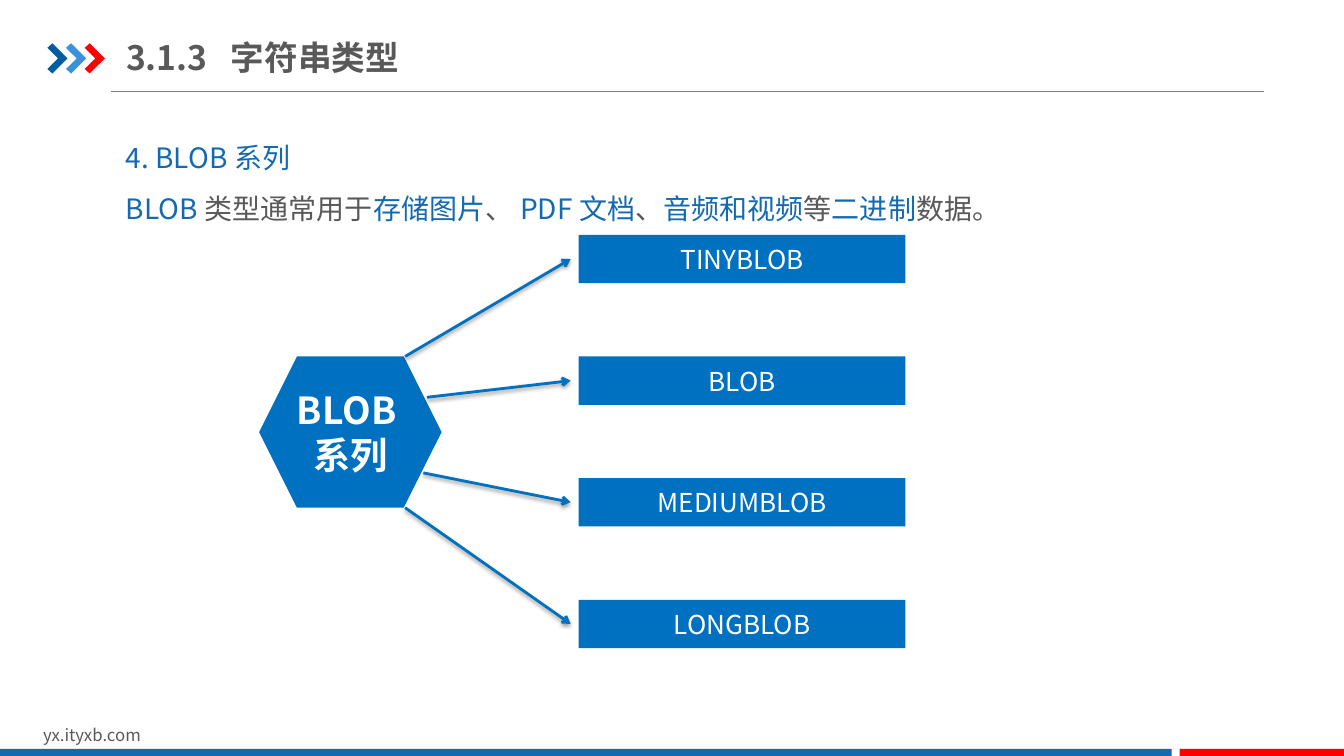
from lxml.etree import SubElement
from pptx import Presentation
from pptx.dml.color import RGBColor
from pptx.enum.shapes import MSO_CONNECTOR, MSO_SHAPE
from pptx.enum.text import MSO_ANCHOR, MSO_AUTO_SIZE, PP_ALIGN
from pptx.oxml.ns import qn
from pptx.util import Inches, Pt

FONT = "Noto Sans CJK SC"
WIDTH, HEIGHT = 13.33, 7.5
BLUE, NODE, RED, GRAY, WHITE = "1369B2", "0070C0", "FF0000", "595959", "FFFFFF"


def color(code):
    return RGBColor.from_string(code)


def inches(*lengths):
    return [Inches(length) for length in lengths]


def add_text(paragraph, text, size=20, code=GRAY, bold=False):
    run = paragraph.add_run()
    run.text = text
    run.font.size = Pt(size)
    run.font.bold = bold
    run.font.name = FONT
    run.font.color.rgb = color(code)
    SubElement(run.font._element, qn("a:ea"), typeface=FONT)


def paint(shape, code):
    shape.shadow.inherit = False
    shape.fill.solid()
    shape.fill.fore_color.rgb = color(code)
    shape.line.fill.background()


def add_block(slide, box, code, preset=MSO_SHAPE.RECTANGLE, label="", size=18.6, bold=False):
    block = slide.shapes.add_shape(preset, *inches(*box))
    paint(block, code)
    if label:
        frame = block.text_frame
        frame.word_wrap = True
        frame.vertical_anchor = MSO_ANCHOR.MIDDLE
        frame.paragraphs[0].alignment = PP_ALIGN.CENTER
        add_text(frame.paragraphs[0], label, size=size, code=WHITE, bold=bold)


def add_line(slide, start, end, code, width, arrow=False):
    line = slide.shapes.add_connector(MSO_CONNECTOR.STRAIGHT, *inches(*start, *end))
    line.line.color.rgb = color(code)
    line.line.width = Pt(width)
    properties = line._element.spPr
    effects = SubElement(properties, qn("a:effectLst"))
    if arrow:
        SubElement(properties.find(qn("a:ln")), qn("a:tailEnd"), type="arrow")
        shadow = SubElement(effects, qn("a:outerShdw"), blurRad=str(Pt(3.1)),
                            dist=str(Pt(1.6)), dir="5400000", rotWithShape="0")
        black = SubElement(shadow, qn("a:srgbClr"), val="000000")
        SubElement(black, qn("a:alpha"), val="38000")


def add_text_box(slide, box):
    frame = slide.shapes.add_textbox(*inches(*box)).text_frame
    frame.word_wrap = True
    frame.auto_size = MSO_AUTO_SIZE.SHAPE_TO_FIT_TEXT
    return frame


def add_chevrons(slide, box):
    left, top, width, height = box
    outline = [(0, 0.15), (0.25, 0), (1, 0.5), (0.25, 1), (0, 0.85), (0.53, 0.5)]
    for index, code in enumerate(("005DA2", "3992DB", RED)):
        start = left + index * (width - 0.2) / 2
        points = [inches(start + 0.2 * x, top + height * y) for x, y in outline]
        builder = slide.shapes.build_freeform(*points[0])
        builder.add_line_segments(points[1:], close=True)
        paint(builder.convert_to_shape(), code)


def add_header(slide, box):
    left, top, width, height = box
    add_line(slide, (left + 0.63, top + height), (left + width, top + height), "808080", 0.75)
    add_chevrons(slide, (left, top + 0.14, 0.57, 0.3))
    title = slide.shapes.title
    title.left, title.top, title.width, title.height = inches(left + 0.78, top, 4.26, 0.55)
    frame = title.text_frame
    frame.margin_left = frame.margin_right = 0
    frame.margin_top = frame.margin_bottom = Inches(0.07)
    frame.vertical_anchor = MSO_ANCHOR.MIDDLE
    frame.auto_size = MSO_AUTO_SIZE.NONE
    heading = frame.paragraphs[0]
    heading.alignment = PP_ALIGN.LEFT
    tabs = SubElement(heading._p.get_or_add_pPr(), qn("a:tabLst"))
    SubElement(tabs, qn("a:tab"), pos=str(Inches(1.04)), algn="l")
    add_text(heading, "3.1.3\t字符串类型", size=24, bold=True)


def add_description(slide, box):
    frame = add_text_box(slide, box)
    lines = [
        [("4. BLOB系列", BLUE)],
        [("BLOB", BLUE), ("类型通常用于", GRAY), ("存储图片", BLUE), ("、", GRAY),
         ("PDF文档", BLUE), ("、", GRAY), ("音频和视频", BLUE), ("等", GRAY),
         ("二进制", BLUE), ("数据。", GRAY)],
    ]
    for index, parts in enumerate(lines):
        paragraph = frame.add_paragraph() if index else frame.paragraphs[0]
        paragraph.line_spacing = 1.5
        for text, code in parts:
            add_text(paragraph, text, code=code)


def add_blob_family(slide, box):
    left, top, width, height = box
    type_width, type_height = 3.24, 0.48
    type_left = left + width - type_width
    pitch = (height - type_height) / 3
    family = (left, top + pitch, 1.81, 1.5)
    add_block(slide, family, NODE, MSO_SHAPE.HEXAGON, "BLOB系列", size=26.6, bold=True)
    branches = [
        ("TINYBLOB", 0.8, 0),
        ("BLOB", 0.92, 0.27),
        ("MEDIUMBLOB", 0.9, 0.77),
        ("LONGBLOB", 0.8, 1),
    ]
    for row, (name, x, y) in enumerate(branches):
        type_top = top + row * pitch
        add_block(slide, (type_left, type_top, type_width, type_height), NODE, label=name)
        start = family[0] + x * family[2], family[1] + y * family[3]
        end = type_left - 0.08, type_top + type_height / 2
        add_line(slide, start, end, NODE, 2, arrow=True)


def add_footer(slide, box):
    left, top, width, height = box
    site = add_text_box(slide, (left + 0.33, top - 0.29, 3.18, 0.3))
    add_text(site.paragraphs[0], "yx.ityxb.com", size=12)
    red_width, gap = 1.63, 0.08
    blue_width = width - red_width - gap
    add_block(slide, (left, top, blue_width, height), BLUE)
    add_block(slide, (left + blue_width + gap, top, red_width, height), RED)


def main():
    deck = Presentation()
    deck.slide_width, deck.slide_height = inches(WIDTH, HEIGHT)
    slide = deck.slides.add_slide(deck.slide_layouts[5])
    add_header(slide, (0.47, 0.29, 12.07, 0.62))
    add_footer(slide, (0, 7.43, WIDTH, 0.09))
    add_description(slide, (1.15, 1.18, 11.4, 1.11))
    add_blob_family(slide, (2.57, 2.33, 6.41, 4.1))
    deck.save("out.pptx")


if __name__ == "__main__":
    main()
